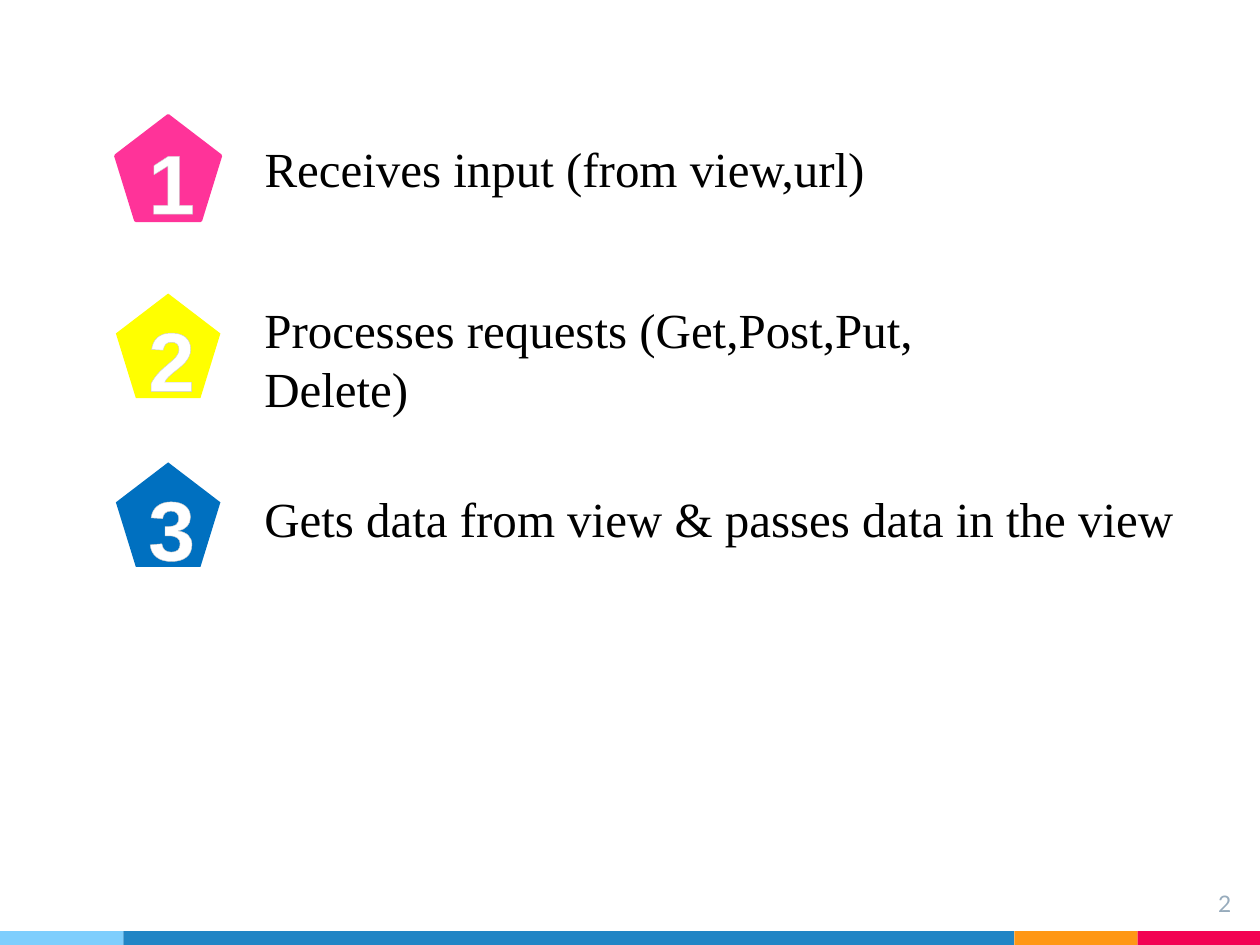
from lxml import etree
from pptx import Presentation
from pptx.dml.color import RGBColor
from pptx.enum.shapes import MSO_SHAPE as Shape
from pptx.enum.text import MSO_ANCHOR as Anchor, MSO_AUTO_SIZE as AutoSize, PP_ALIGN as Align
from pptx.oxml.ns import qn
from pptx.util import Inches, Pt

BLACK = RGBColor(0x00, 0x00, 0x00)
WHITE = RGBColor(0xFF, 0xFF, 0xFF)
GREY = RGBColor(0x97, 0xAB, 0xBC)
DIGIT_EDGE = RGBColor(0xCC, 0xCC, 0xCC)
PINK = RGBColor(0xFF, 0x33, 0x99)
YELLOW = RGBColor(0xFF, 0xFF, 0x00)
BLUE = RGBColor(0x00, 0x70, 0xC0)
SKY = RGBColor(0x7E, 0xCE, 0xFD)
OCEAN = RGBColor(0x21, 0x85, 0xC5)
ORANGE = RGBColor(0xFF, 0x97, 0x15)
RED = RGBColor(0xF2, 0x02, 0x53)


def write(shape, text, font, size, color, align=Align.LEFT, bold=False):
    paragraph = shape.text_frame.paragraphs[0]
    paragraph.text = text
    paragraph.alignment = align
    paragraph.font.name = font
    paragraph.font.size = Pt(size)
    paragraph.font.bold = bold
    paragraph.font.color.rgb = color
    return paragraph


def add_filled(kind, left, top, width, height, color):
    shape = slide.shapes.add_shape(kind, Inches(left), Inches(top), Inches(width), Inches(height))
    shape.shadow.inherit = False
    shape.fill.solid()
    shape.fill.fore_color.rgb = color
    shape.line.fill.background()
    return shape


prs = Presentation()
prs.slide_width, prs.slide_height = Inches(10), Inches(7.5)
slide = prs.slides.add_slide(prs.slide_layouts[5])

band_left = 0
for band_width, color in [(0.98, SKY), (7.07, OCEAN), (0.98, ORANGE), (0.97, RED)]:
    add_filled(Shape.RECTANGLE, band_left, 7.39, band_width, 0.11, color)
    band_left += band_width

first_step = slide.shapes.title
first_step.left, first_step.top = Inches(2), Inches(0.92)
first_step.width, first_step.height = Inches(7.07), Inches(0.75)
first_step.text_frame.auto_size = AutoSize.NONE
first_step.text_frame.vertical_anchor = Anchor.BOTTOM
write(first_step, "Receives input (from view,url)", "Times New Roman", 28, BLACK)

page_number = slide.shapes.add_textbox(Inches(9.27), Inches(6.96), Inches(0.6), Inches(0.46))
page_number.text_frame.word_wrap = True
write(page_number, "2", "Lato", 13, GREY, Align.RIGHT)

for frame in (first_step.text_frame, page_number.text_frame):
    frame.margin_left = frame.margin_right = Inches(0.1)
    frame.margin_top = frame.margin_bottom = Inches(0.1)

for number, (top, color) in enumerate([(0.92, PINK), (2.33, YELLOW), (3.67, BLUE)], start=1):
    badge = add_filled(Shape.REGULAR_PENTAGON, 0.92, top, 0.83, 0.83, color)
    if color == PINK:
        badge.line.color.rgb = PINK
        badge.line.width = Pt(2)
    badge.text_frame.vertical_anchor = Anchor.MIDDLE
    digit = write(badge, str(number), "Arial", 48, WHITE, Align.CENTER, bold=True)
    edge = etree.Element(qn("a:ln"), w=str(Pt(1)))
    edge_fill = etree.SubElement(edge, qn("a:solidFill"))
    etree.SubElement(edge_fill, qn("a:srgbClr"), val=str(DIGIT_EDGE))
    digit._p.get_or_add_pPr().get_or_add_defRPr().insert(0, edge)

later_steps = [
    (2.33, 7.83, 1.04, "Processes requests (Get,Post,Put,\nDelete)"),
    (3.83, 7.67, 0.57, "Gets data from view & passes data in the view"),
]
for top, width, height, text in later_steps:
    step = slide.shapes.add_textbox(Inches(2), Inches(top), Inches(width), Inches(height))
    step.text_frame.word_wrap = True
    step.text_frame.auto_size = AutoSize.SHAPE_TO_FIT_TEXT
    write(step, text, "Times New Roman", 28, BLACK)

prs.save("out.pptx")
